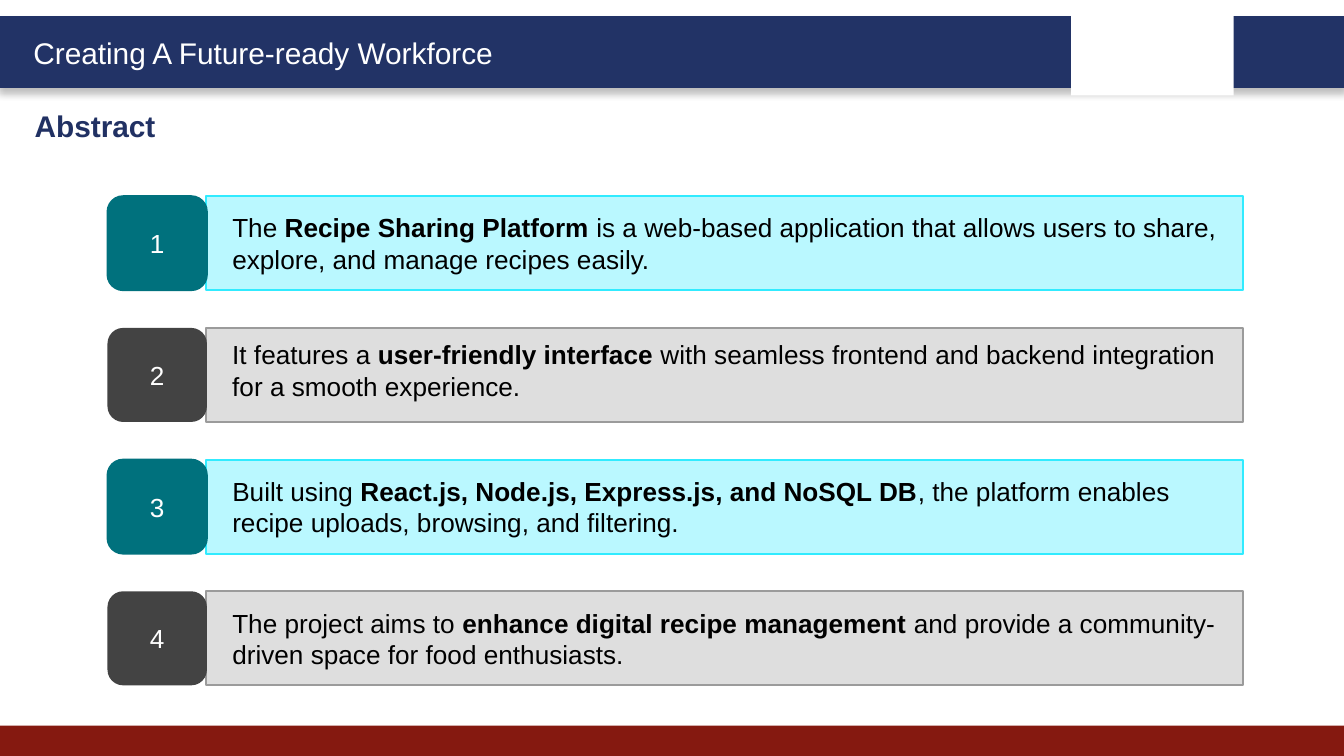
from pptx import Presentation
from pptx import util as u
from pptx.dml.color import RGBColor
from pptx.enum import shapes, text
from pptx.oxml import parse_xml

WIDTH = 10
HEIGHT = WIDTH * 9 / 16
BANNER = "Creating A Future-ready Workforce"
HEADING = "Abstract"
POINTS = [
    ("The ", "Recipe Sharing Platform",
     " is a web-based application that allows users to share, explore, and manage recipes easily."),
    ("It features a ", "user-friendly interface",
     " with seamless frontend and backend integration for a smooth experience."),
    ("Built using ", "React.js, Node.js, Express.js, and NoSQL DB",
     ", the platform enables recipe uploads, browsing, and filtering."),
    ("The project aims to ", "enhance digital recipe management",
     " and provide a community-driven space for food enthusiasts."),
]
THEMES = [
    {"panel": "BAF8FF", "edge": "31EBFF", "badge": "00717D", "badge_edge": "00717D"},
    {"panel": "DEDEDE", "edge": "9B9B9B", "badge": "434343", "badge_edge": None},
]
RAISED_ROW = 1
ROW_TOP, ROW_STEP, ROW_HEIGHT = 1.46, 0.98, 0.7
BADGE_LEFT, BADGE_WIDTH = 0.8, 0.74
PANEL_LEFT, PANEL_WIDTH = 1.53, 7.72
SHADOW = """<a:effectLst xmlns:a="http://schemas.openxmlformats.org/drawingml/2006/main">
<a:outerShdw blurRad="50800" dist="38100" dir="5400000" algn="t" rotWithShape="0">
<a:srgbClr val="000000"><a:alpha val="25000"/></a:srgbClr></a:outerShdw></a:effectLst>"""


def colour(value):
    return RGBColor.from_string(value)


def add_block(page, frame, fill, edge=None, weight=1, kind=shapes.MSO_SHAPE.RECTANGLE):
    block = page.shapes.add_shape(kind, *map(u.Inches, frame))
    block.shadow.inherit = False
    block.fill.solid()
    block.fill.fore_color.rgb = colour(fill)
    if edge:
        block.line.color.rgb = colour(edge)
        block.line.width = u.Pt(weight)
    else:
        block.line.fill.background()
    return block


def add_text_box(page, frame):
    box = page.shapes.add_textbox(*map(u.Inches, frame))
    box.text_frame.word_wrap = True
    return box


def write(box, parts, size, ink, bold=False, align=text.PP_ALIGN.LEFT):
    para = box.text_frame.paragraphs[0]
    para.alignment = align
    para.font.name = "Arial"
    para.font.size = u.Pt(size)
    para.font.color.rgb = colour(ink)
    para.font.bold = bold
    for index, part in enumerate(parts):
        span = para.add_run()
        span.text = part
        if index == 1:
            span.font.bold = True
    return para


def add_point(page, row, parts):
    theme = THEMES[row % len(THEMES)]
    top = ROW_TOP + row * ROW_STEP
    panel = add_block(page, (PANEL_LEFT, top, PANEL_WIDTH, ROW_HEIGHT), theme["panel"], theme["edge"])
    badge = add_block(page, (BADGE_LEFT, top, BADGE_WIDTH, ROW_HEIGHT), theme["badge"],
                      theme["badge_edge"], kind=shapes.MSO_SHAPE.ROUNDED_RECTANGLE)
    write(badge, [str(row + 1)], 14, "FFFFFF", align=text.PP_ALIGN.CENTER)
    if row == RAISED_ROW:
        panel = add_text_box(page, (PANEL_LEFT, top + 0.03, PANEL_WIDTH - 0.05, 0.57))
    para = write(panel, parts, 14, "000000")
    para._p.get_or_add_pPr().set("marL", str(u.Inches(0.1)))


def main():
    deck = Presentation()
    deck.slide_width, deck.slide_height = u.Inches(WIDTH), u.Inches(HEIGHT)
    page = deck.slides.add_slide(deck.slide_layouts[6])

    band = add_block(page, (0, 0.13, WIDTH, 0.51), "223366", "223366", 2)
    properties = band._element.spPr
    for effects in properties.findall("{*}effectLst"):
        properties.remove(effects)
    properties.append(parse_xml(SHADOW))
    add_block(page, (0, 5.4, WIDTH, 0.23), "851910")
    add_block(page, (7.97, 0.07, 1.21, 0.64), "FFFFFF")
    write(add_text_box(page, (0.15, 0.21, 3.78, 0.37)), [BANNER], 16, "FFFFFF")
    write(add_text_box(page, (0.16, 0.75, 4.84, 0.37)), [HEADING], 16, "213163", bold=True)

    for row, parts in enumerate(POINTS):
        add_point(page, row, parts)
    deck.save("out.pptx")


if __name__ == "__main__":
    main()
